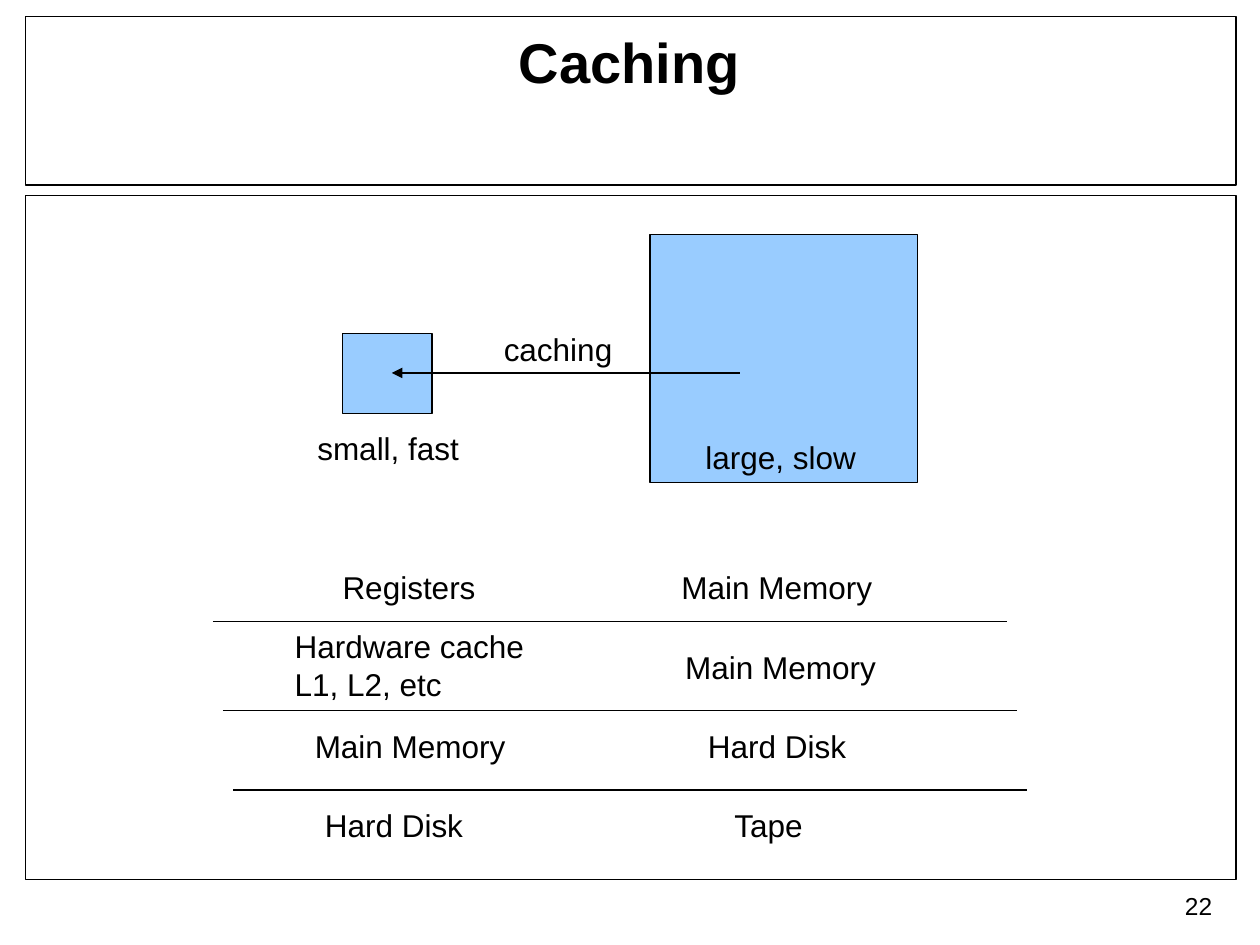
from lxml import etree
from pptx import Presentation
from pptx.dml.color import RGBColor
from pptx.enum import shapes, text
from pptx.oxml import ns
from pptx.util import Inches, Pt

COLORS = {"ink": "000000", "memory": "99CCFF"}
FONT = "Arial"


def color(name):
    return RGBColor.from_string(COLORS[name])


def write(frame, lines, size=18, bold=False, align=text.PP_ALIGN.LEFT):
    """Fill a frame with one paragraph whose lines are split by breaks."""
    frame.vertical_anchor = text.MSO_ANCHOR.TOP
    para = frame.paragraphs[0]
    para.alignment = align
    for index, line in enumerate(lines.split("\n")):
        if index:
            para.add_line_break()
        span = para.add_run()
        span.text = line
        span.font.name, span.font.size, span.font.bold = FONT, Pt(size), bold
        span.font.color.rgb = color("ink")


def add_box(page, left, top, width, height, fill=None):
    box = page.shapes.add_shape(shapes.MSO_SHAPE.RECTANGLE, Inches(left),
                                Inches(top), Inches(width), Inches(height))
    box.shadow.inherit = False
    if fill:
        box.fill.solid()
        box.fill.fore_color.rgb = color(fill)
    else:
        box.fill.background()
    box.line.color.rgb = color("ink")
    box.line.width = Pt(0.75)


def add_label(page, words, left, top, width, height=0.44):
    box = page.shapes.add_textbox(Inches(left), Inches(top), Inches(width), Inches(height))
    box.text_frame.word_wrap = False
    box.text_frame.auto_size = text.MSO_AUTO_SIZE.SHAPE_TO_FIT_TEXT
    write(box.text_frame, words)


def add_line(page, start, end, arrow=False):
    line = page.shapes.add_connector(shapes.MSO_CONNECTOR.STRAIGHT,
                                     *(Inches(value) for value in start + end))
    line.line.color.rgb = color("ink")
    line.line.width = Pt(0.75)
    if arrow:
        etree.SubElement(line.line._get_or_add_ln(), ns.qn("a:tailEnd"), type="triangle")
    etree.SubElement(line._element.spPr, ns.qn("a:effectLst"))


def add_frame(page, number):
    """Draw the title and body frames and the page number."""
    add_box(page, 0.2, 0.13, 9.61, 1.34)
    add_box(page, 0.2, 1.55, 9.61, 5.43)
    box = page.shapes.add_textbox(Inches(8.68), Inches(7.02), Inches(1.04), Inches(0.34))
    box.text_frame.word_wrap = True
    write(box.text_frame, number, 14, align=text.PP_ALIGN.RIGHT)


def add_title(page, words):
    title = page.shapes.title
    title.left, title.top = Inches(0.35), Inches(0.17)
    title.width, title.height = Inches(9.29), Inches(1.25)
    write(title.text_frame, words, 32, True, text.PP_ALIGN.CENTER)


def add_diagram(page, left, top):
    """Show data moving from the large memory into the small one."""
    add_box(page, left + 0.3, top + 0.79, 0.71, 0.63, "memory")
    add_label(page, "small, fast", left, top + 1.5, 1.33)
    add_box(page, left + 2.74, top, 2.12, 1.97, "memory")
    add_label(page, "large, slow", left + 3.08, top + 1.57, 1.4)
    add_line(page, (left + 3.45, top + 1.1), (left + 0.69, top + 1.1), arrow=True)
    add_label(page, "caching", left + 1.48, top + 0.71, 1.1)


def add_examples(page, left, top):
    """List pairs of fast and slow storage, with stepped rules between rows."""
    # Each entry: words, left offset, top offset, width
    labels = [
        ("Registers", 0.93, 0, 1.32), ("Main Memory", 3.62, 0, 1.76),
        ("Hardware cache\nL1, L2, etc", 0.55, 0.47, 2.04),
        ("Main Memory", 3.65, 0.63, 1.76),
        ("Main Memory", 0.71, 1.26, 1.76), ("Hard Disk", 3.83, 1.26, 1.3),
        ("Hard Disk", 0.79, 1.89, 1.3), ("Tape", 4.04, 1.89, 0.75),
    ]
    for words, across, down, width in labels:
        add_label(page, words, left + across, top + down, width,
                  0.77 if "\n" in words else 0.44)
    for step, down in enumerate((0.47, 1.18, 1.81)):
        start = left + 0.08 * step
        add_line(page, (start, top + down), (start + 6.3, top + down))


def main():
    deck = Presentation()
    deck.slide_width, deck.slide_height = Inches(10), Inches(7.5)
    page = deck.slides.add_slide(deck.slide_layouts[5])
    add_frame(page, "22")
    add_title(page, "Caching")
    add_diagram(page, 2.42, 1.86)
    add_examples(page, 1.69, 4.46)
    deck.save("out.pptx")


if __name__ == "__main__":
    main()
